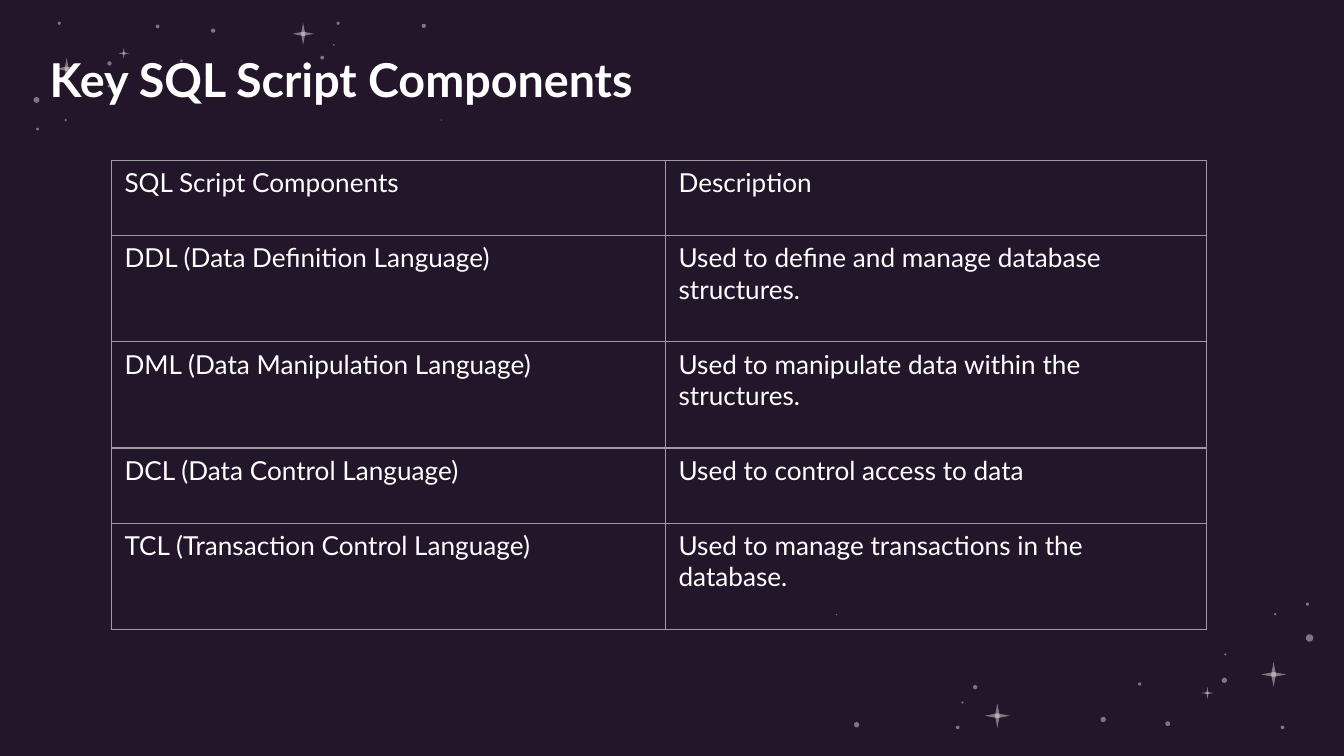
from lxml.etree import SubElement
from pptx import Presentation
from pptx.dml.color import RGBColor as RGB
from pptx.enum.shapes import MSO_SHAPE as Shape
from pptx.oxml.ns import qn
from pptx.util import Cm, Pt

COLORS = {"background": "24162A", "text": "FFFFFF", "star": "FFFFFF", "border": "9E9E9E"}
FONT = "Lato"
STAR_OPACITY = 41

TITLE = "Key SQL Script Components"
ROWS = [
    ("SQL Script Components", "Description"),
    ("DDL (Data Definition Language)", "Used to define and manage database structures."),
    ("DML (Data Manipulation Language)", "Used to manipulate data within the structures."),
    ("DCL (Data Control Language)", "Used to control access to data"),
    ("TCL (Transaction Control Language)", "Used to manage transactions in the database."),
]
COL_WIDTHS = [10.47, 10.23]
SHORT, TALL = 1.42, 2.01
ROW_HEIGHTS = [SHORT, TALL, TALL, SHORT, TALL]

# center x, center y, length, thickness
SPARKLES = [
    (18.85, 13.53, 0.47, 0.09), (24.07, 12.75, 0.47, 0.09), (22.82, 13.1, 0.23, 0.04),
    (5.73, 0.64, 0.41, 0.08), (1.26, 1.3, 0.41, 0.08), (2.34, 1.01, 0.2, 0.04),
]
DOTS = [
    (24.75, 12.06, 0.14), (24.1, 11.61, 0.04), (24.24, 13.75, 0.07), (23.14, 12.86, 0.1),
    (23.16, 12.37, 0.04), (22.07, 13.68, 0.09), (21.54, 12.93, 0.06), (20.85, 13.6, 0.1),
    (18.19, 13.28, 0.04), (18.1, 13.75, 0.07), (18.43, 12.99, 0.08), (16.19, 13.7, 0.1),
    (15.81, 11.62, 0.02), (24.71, 11.42, 0.06), (0.69, 1.89, 0.11), (1.24, 2.27, 0.04),
    (1.12, 0.44, 0.06), (2.07, 1.2, 0.08), (2.06, 1.63, 0.05), (2.98, 0.5, 0.07),
    (3.43, 1.15, 0.05), (4.03, 0.58, 0.08), (6.31, 0.85, 0.03), (6.39, 0.44, 0.06),
    (6.09, 1.09, 0.07), (8.01, 0.49, 0.08), (8.34, 2.27, 0.02), (0.71, 2.44, 0.05),
]


def color(name):
    return RGB.from_string(COLORS[name])


def add_star_part(s, kind, x, y, w, h):
    sp = s.shapes.add_shape(kind, Cm(x - w / 2), Cm(y - h / 2), Cm(w), Cm(h))
    sp.shadow.inherit = False
    sp.fill.solid()
    sp.fill.fore_color.rgb = color("star")
    sp.line.fill.background()
    rgb = next(sp.element.spPr.iter(qn("a:srgbClr")))
    SubElement(rgb, qn("a:alpha"), val=str(STAR_OPACITY * 1000))


def write(tf, text, size, bold=False):
    r = tf.paragraphs[0].add_run()
    r.text = text
    r.font.name = FONT
    r.font.size = Pt(size)
    r.font.bold = bold
    r.font.color.rgb = color("text")


def add_borders(cell):
    tc_pr = cell._tc.get_or_add_tcPr()
    for side in ("lnL", "lnR", "lnT", "lnB"):
        ln = SubElement(tc_pr, qn(f"a:{side}"), w=str(Pt(0.75)))
        fill = SubElement(ln, qn("a:solidFill"))
        SubElement(fill, qn("a:srgbClr"), val=COLORS["border"])


def add_component_table(s):
    frame = s.shapes.add_table(len(ROWS), len(COL_WIDTHS), Cm(2.1), Cm(3.03),
                               Cm(sum(COL_WIDTHS)), Cm(sum(ROW_HEIGHTS)))
    table = frame.table
    table.first_row = table.horz_banding = False
    for col, width in zip(table.columns, COL_WIDTHS):
        col.width = Cm(width)
    for row, height, texts in zip(table.rows, ROW_HEIGHTS, ROWS):
        row.height = Cm(height)
        for cell, text in zip(row.cells, texts):
            add_borders(cell)
            cell.fill.background()
            write(cell.text_frame, text, 14)


def add_title(s):
    tf = s.shapes.add_textbox(Cm(0.69), Cm(0.71), Cm(14.22), Cm(1.73)).text_frame
    tf.word_wrap = True
    tf.margin_left = tf.margin_right = tf.margin_top = tf.margin_bottom = Cm(0.25)
    write(tf, TITLE, 25, bold=True)


def main():
    prs = Presentation()
    prs.slide_width, prs.slide_height = Cm(25.4), Cm(14.29)
    s = prs.slides.add_slide(prs.slide_layouts[6])
    s.background.fill.solid()
    s.background.fill.fore_color.rgb = color("background")
    for x, y, length, thickness in SPARKLES:
        add_star_part(s, Shape.DIAMOND, x, y, thickness, length)
        add_star_part(s, Shape.DIAMOND, x, y, length, thickness)
    for x, y, size in DOTS:
        add_star_part(s, Shape.OVAL, x, y, size, size)
    add_component_table(s)
    add_title(s)
    prs.save("out.pptx")


if __name__ == "__main__":
    main()
